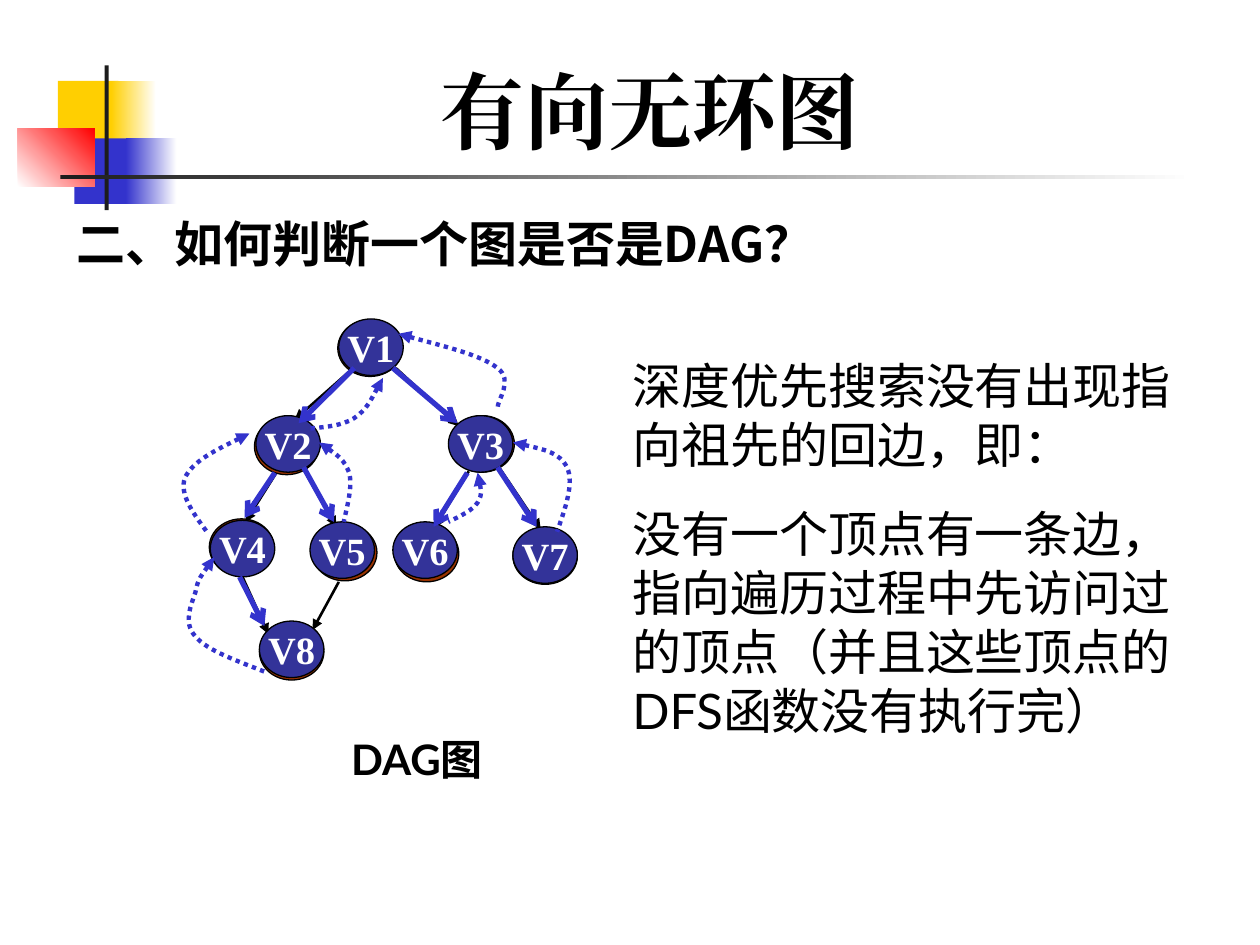
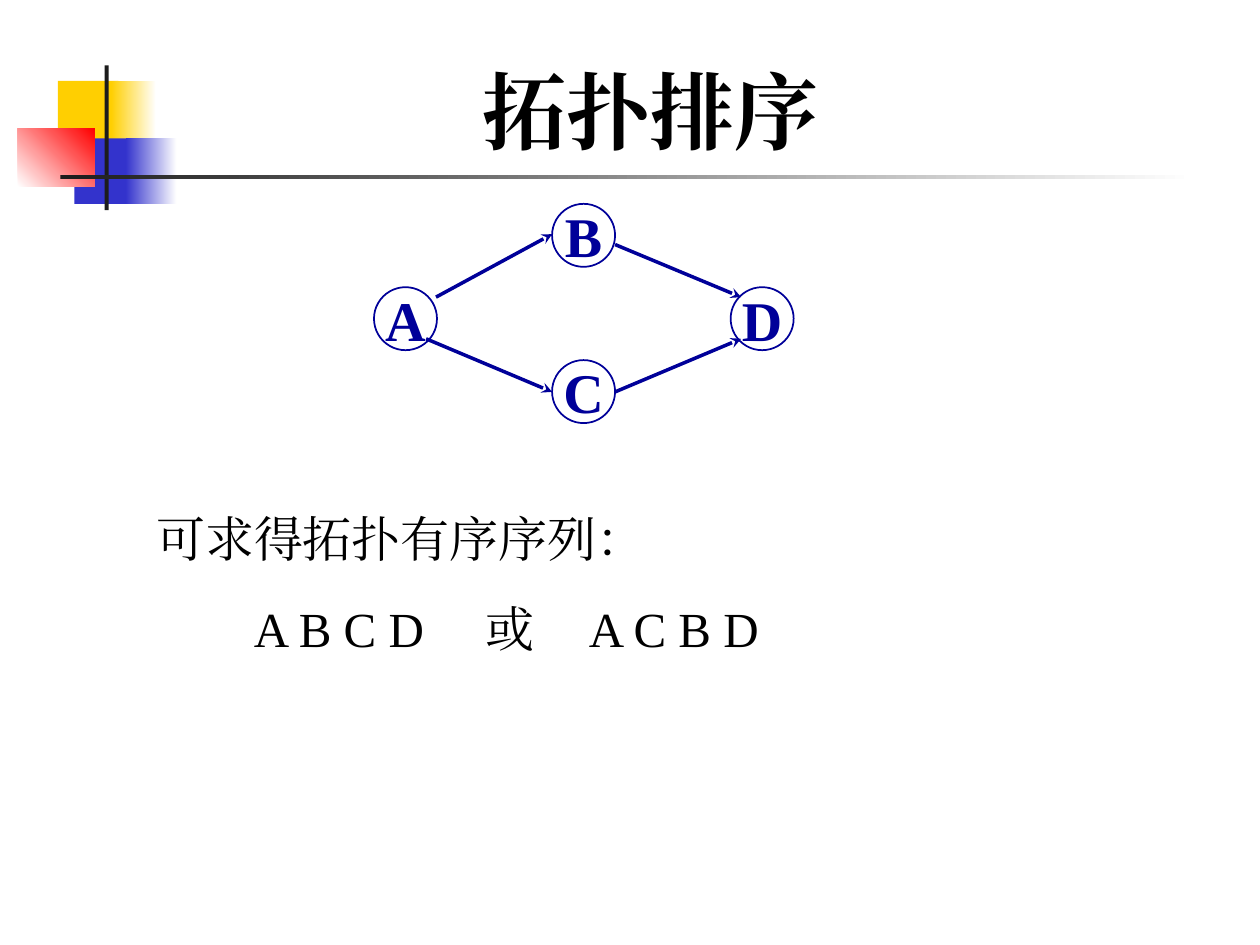
from lxml.etree import SubElement
from pptx import Presentation
from pptx.dml.color import RGBColor
from pptx.enum.dml import MSO_LINE
from pptx.enum.shapes import MSO_CONNECTOR, MSO_SHAPE
from pptx.enum.text import MSO_ANCHOR, PP_ALIGN
from pptx.oxml.ns import qn
from pptx.util import Cm, Pt

BLACK = RGBColor(0x00, 0x00, 0x00)
WHITE = RGBColor(0xFF, 0xFF, 0xFF)
YELLOW = RGBColor(0xFF, 0xCF, 0x01)
BLUE = RGBColor(0x33, 0x33, 0xCC)
RED = RGBColor(0xFF, 0x00, 0x00)
CHARCOAL = RGBColor(0x1C, 0x1C, 0x1C)
BROWN = RGBColor(0x99, 0x33, 0x00)
INDIGO = RGBColor(0x33, 0x33, 0x99)
NAVY = RGBColor(0x00, 0x00, 0x99)

SERIF = "Times New Roman"
SANS = "Lato"
CJK = "Noto Sans CJK SC"


def write(shape, *texts, size=28, font=SERIF, color=BLACK, bold=False,
          align=PP_ALIGN.LEFT, gap=0, spacing=None, tabs=(), wrap=True,
          anchor=MSO_ANCHOR.TOP):
    """Fill a shape with one paragraph per text; gap separates paragraphs."""
    frame = shape.text_frame
    frame.word_wrap = wrap
    frame.vertical_anchor = anchor
    for index, text in enumerate(texts):
        paragraph = frame.add_paragraph() if index else frame.paragraphs[0]
        paragraph.alignment = align
        if index:
            paragraph.space_before = Pt(gap)
        if spacing:
            paragraph.line_spacing = spacing
        if tabs and "\t" in text:
            tab_list = SubElement(paragraph._p.get_or_add_pPr(), qn("a:tabLst"))
            for position in tabs:
                SubElement(tab_list, qn("a:tab"), pos=str(Cm(position)), algn="l")
        run = paragraph.add_run()
        run.text = text
        run.font.size = Pt(size)
        run.font.bold = bold
        run.font.color.rgb = color
        run.font.name = font
        SubElement(run._r.get_or_add_rPr(), qn("a:ea"), typeface=font)


def draw_edge(slide, points, color, width, head=None, tail=None, dash=None):
    """Draw a straight line for two points, or Bezier curves for 3n + 1 points."""
    points = [(Cm(x), Cm(y)) for x, y in points]
    if len(points) == 2:
        edge = slide.shapes.add_connector(MSO_CONNECTOR.STRAIGHT, *points[0], *points[1])
    else:
        builder = slide.shapes.build_freeform(*points[0])
        builder.add_line_segments(points[1:], close=False)
        edge = builder.convert_to_shape()
        edge.fill.background()
        outline = edge._element.find(".//" + qn("a:path"))
        segments = outline.findall(qn("a:lnTo"))
        for start in range(0, len(segments), 3):
            curve = SubElement(outline, qn("a:cubicBezTo"))
            for segment in segments[start:start + 3]:
                curve.append(segment[0])
                outline.remove(segment)
    edge.line.color.rgb = color
    edge.line.width = Pt(width)
    if dash:
        edge.line.dash_style = dash
    line = edge.line._get_or_add_ln()
    for tag, kind in (("a:headEnd", head), ("a:tailEnd", tail)):
        if kind:
            SubElement(line, qn(tag), type=kind)
    SubElement(edge._element.spPr, qn("a:effectLst"))


presentation = Presentation()
presentation.slide_width = Cm(25.4)
presentation.slide_height = Cm(19.05)

# Shared decoration and titles: box, first colour, second colour, gradient angle
DECORATION = [
    ((1.17, 1.63, 1.22, 1.32), YELLOW, None, 0),
    ((2.24, 1.63, 0.91, 1.32), YELLOW, WHITE, 0),
    ((1.5, 2.79, 1.17, 1.32), BLUE, None, 0),
    ((2.54, 2.79, 1.02, 1.32), BLUE, WHITE, 0),
    ((0.36, 2.59, 1.55, 1.17), WHITE, RED, 45),
    ((2.11, 1.32, 0.08, 2.92), CHARCOAL, None, 0),
    ((1.22, 3.53, 22.86, 0.08), CHARCOAL, WHITE, 0),
]
slides = []
for title in ("有向无环图", "拓扑排序"):
    slide = presentation.slides.add_slide(presentation.slide_layouts[6])
    slides.append(slide)
    for box, first, second, angle in DECORATION:
        block = slide.shapes.add_shape(MSO_SHAPE.RECTANGLE, *map(Cm, box))
        block.shadow.inherit = False
        block.line.fill.background()
        if second is None:
            block.fill.solid()
            block.fill.fore_color.rgb = first
        else:
            block.fill.gradient()
            block.fill.gradient_angle = angle
            for stop, color in zip(block.fill.gradient_stops, (first, second)):
                stop.color.rgb = color
    title_box = slide.shapes.add_textbox(Cm(3.3), Cm(1.07), Cm(19.61), Cm(2.29))
    write(title_box, title, size=48, bold=True, align=PP_ALIGN.CENTER)
dag_slide, sort_slide = slides

# Text boxes
heading = dag_slide.shapes.add_textbox(Cm(1.3), Cm(3.94), Cm(21.21), Cm(1.68))
write(heading, "二、如何判断一个图是否是DAG？", font=CJK, bold=True, spacing=1.2)
caption = dag_slide.shapes.add_textbox(Cm(6.83), Cm(14.66), Cm(3.61), Cm(1.27))
write(caption, "DAG图", size=24, font=SANS, bold=True)
rule = dag_slide.shapes.add_textbox(Cm(12.5), Cm(7.04), Cm(11.4), Cm(8))
write(rule, "深度优先搜索没有出现指向祖先的回边，即：",
      "没有一个顶点有一条边，指向遍历过程中先访问过的顶点（并且这些顶点的DFS函数没有执行完）",
      font=SANS, gap=17.5)
orders = sort_slide.shapes.add_textbox(Cm(2.9), Cm(10.13), Cm(19.48), Cm(3.25))
write(orders, "可求得拓扑有序序列：", "\tA B C D\t或\tA C B D",
      gap=17.5, tabs=(1.97, 6.63, 8.72))

# Graphs, back to front
SHADE_NODES = [
    ("", 6.81, 6.45), ("", 5.13, 8.43), ("", 9.07, 8.38), ("", 4.22, 10.46),
    ("", 6.3, 10.57), ("", 7.95, 10.59), ("", 10.34, 10.64), ("", 5.23, 12.57),
]
GRAPH_EDGES = [
    ((7.04, 7.49), (5.94, 8.46)),
    ((7.98, 7.42), (9.25, 8.59)),
    ((5.56, 9.55), (4.95, 10.52)),
    ((6.1, 9.42), (6.78, 10.62)),
    ((4.88, 11.61), (5.41, 12.78)),
    ((6.83, 11.73), (6.3, 12.7)),
    ((9.45, 9.5), (8.76, 10.64)),
    ((10.06, 9.42), (10.9, 10.67)),
]
VERTICES = [
    ("V1", 6.83, 6.43), ("V2", 5.16, 8.38), ("V3", 9.04, 8.38), ("V4", 4.24, 10.49),
    ("V5", 6.25, 10.52), ("V6", 7.92, 10.52), ("V7", 10.34, 10.62), ("V8", 5.23, 12.52),
]
SEARCH_EDGES = [
    ((7.14, 7.42), (6.02, 8.53)),
    ((5.54, 9.53), (4.93, 10.44)),
    ((4.83, 11.63), (5.33, 12.62)),
    ((6.12, 9.42), (6.73, 10.52)),
    ((7.92, 7.42), (9.22, 8.53)),
    ((9.42, 9.53), (8.74, 10.62)),
    ((10.03, 9.42), (10.82, 10.62)),
]
SORT_NODES = [("B", 11.13, 4.11), ("D", 14.73, 5.79), ("A", 7.54, 5.79), ("C", 11.13, 7.26)]
SORT_EDGES = [
    ((8.79, 5.99), (11.13, 4.72)),
    ((8.59, 6.83), (11.13, 7.9)),
    ((12.4, 4.93), (14.94, 5.99)),
    ((12.4, 7.9), (14.94, 6.83)),
]
# slide, nodes, node size, fill, outline, label format, edges, edge format
LAYERS = [
    (dag_slide, SHADE_NODES, (1.3, 1.14), BROWN, (BLACK, 0.75), {},
     GRAPH_EDGES, dict(color=BLACK, width=1.5, tail="triangle")),
    (dag_slide, VERTICES, (1.3, 1.14), INDIGO, (BLACK, 0.75), dict(size=22, color=WHITE),
     SEARCH_EDGES, dict(color=BLUE, width=3, tail="arrow")),
    (sort_slide, SORT_NODES, (1.27, 1.27), None, (NAVY, 1), dict(size=32, color=NAVY),
     SORT_EDGES, dict(color=NAVY, width=2, tail="stealth")),
]
for slide, nodes, size, fill, outline, label_format, edges, edge_format in LAYERS:
    for label, left, top in nodes:
        node = slide.shapes.add_shape(MSO_SHAPE.OVAL, *map(Cm, (left, top, *size)))
        node.shadow.inherit = False
        if fill is None:
            node.fill.background()
        else:
            node.fill.solid()
            node.fill.fore_color.rgb = fill
        node.line.color.rgb = outline[0]
        node.line.width = Pt(outline[1])
        if label:
            write(node, label, bold=True, align=PP_ALIGN.CENTER, wrap=False,
                  anchor=MSO_ANCHOR.MIDDLE, **label_format)
    for points in edges:
        draw_edge(slide, points, **edge_format)

# Dotted back edges, each starting at the ancestor
BACK_EDGES = [
    [(4.32, 11.23), (4.17, 11.46), (3.99, 11.66), (3.94, 11.94), (3.86, 12.19),
     (3.68, 12.55), (3.94, 12.83), (4.17, 13.11), (4.75, 13.31), (5.33, 13.54)],
    [(5.03, 8.74), (4.45, 9.02), (3.89, 9.3), (3.73, 9.63),
     (3.61, 9.96), (3.89, 10.34), (4.17, 10.72)],
    [(6.43, 8.92), (6.68, 9.09), (6.93, 9.25), (7.04, 9.53),
     (7.11, 9.8), (7.01, 10.16), (6.93, 10.52)],
    [(7.72, 7.62), (7.54, 7.95), (7.39, 8.26), (7.14, 8.43),
     (6.88, 8.59), (6.55, 8.61), (6.22, 8.64)],
    [(9.63, 9.53), (9.68, 9.75), (9.73, 9.96), (9.63, 10.13),
     (9.53, 10.29), (9.27, 10.41), (9.04, 10.52)],
    [(10.34, 8.92), (10.8, 9.02), (11.28, 9.12), (11.43, 9.42),
     (11.58, 9.73), (11.4, 10.24), (11.23, 10.72)],
    [(8.03, 6.73), (8.86, 6.96), (9.7, 7.16), (10.03, 7.42),
     (10.36, 7.67), (10.03, 8.05), (10.03, 8.23)],
]
for points in BACK_EDGES:
    draw_edge(dag_slide, points, BLUE, 2.5, head="triangle", dash=MSO_LINE.ROUND_DOT)

presentation.save("out.pptx")
